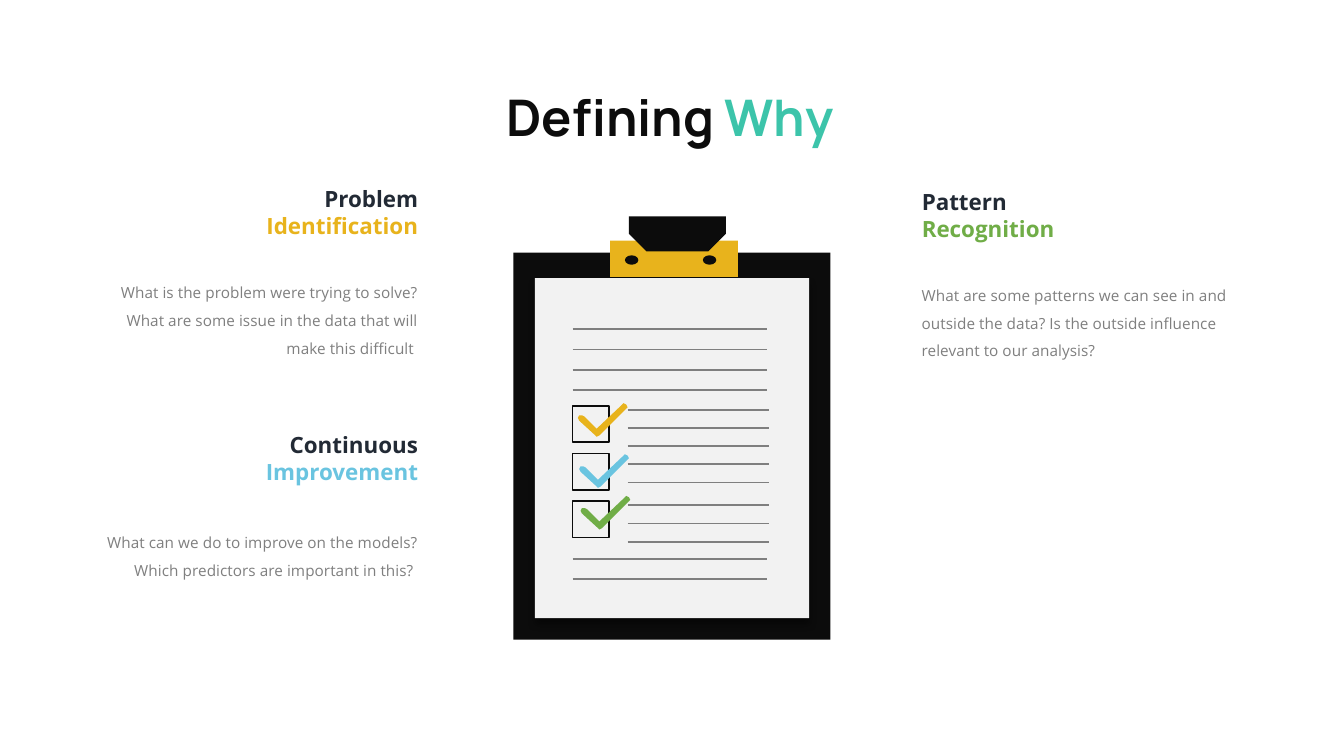
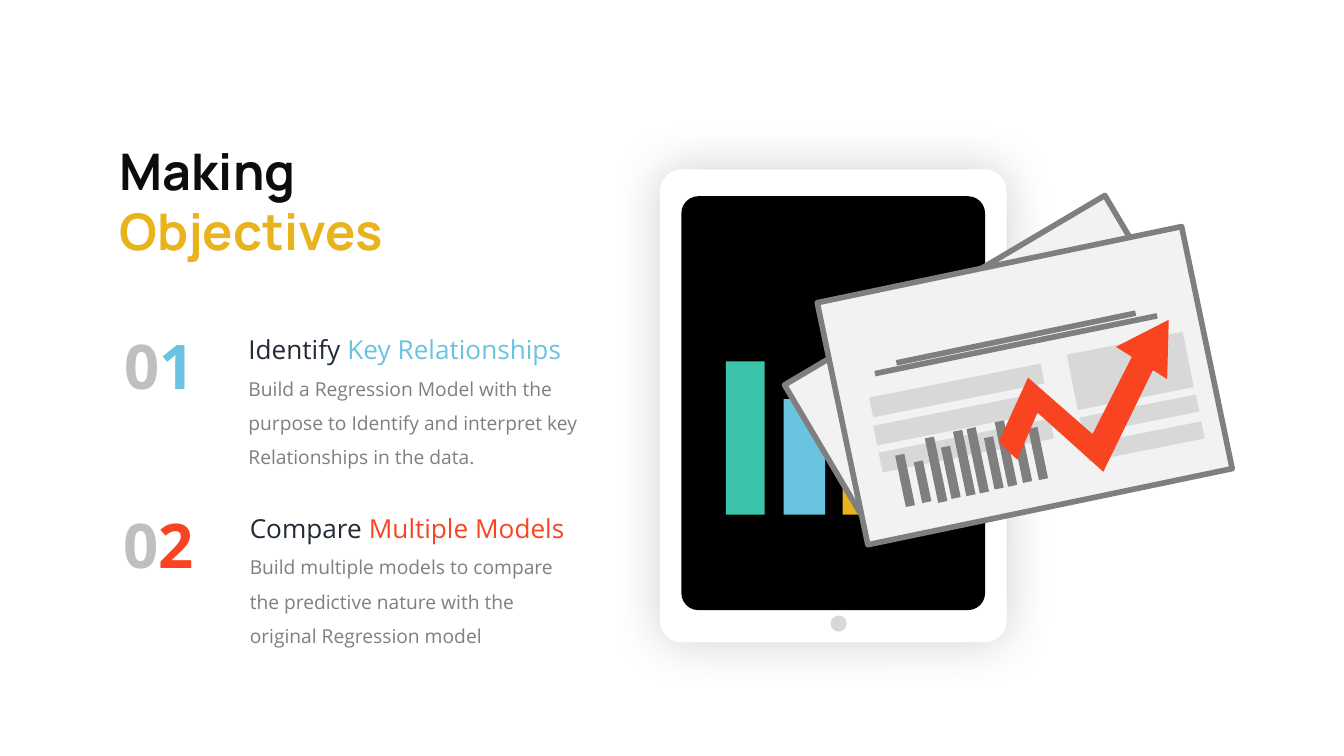
from dataclasses import dataclass

from lxml.etree import SubElement
from pptx import Presentation
from pptx.dml.color import RGBColor
from pptx.enum.shapes import MSO_CONNECTOR, MSO_SHAPE
from pptx.enum.text import MSO_ANCHOR, MSO_AUTO_SIZE, PP_ALIGN
from pptx.oxml.ns import qn
from pptx.util import Inches, Pt


@dataclass(frozen=True)
class Theme:
    black: str = "000000"
    ink: str = "0C0C0C"
    navy: str = "222A35"
    gray: str = "7F7F7F"
    mid: str = "BFBFBF"
    pale: str = "D8D8D8"
    paper: str = "F2F2F2"
    white: str = "FFFFFF"
    gold: str = "E8B31C"
    teal: str = "3CC4AA"
    sky: str = "6AC4E0"
    green: str = "70AD47"
    red: str = "F84420"
    head: str = "Manrope"
    body: str = "Open Sans"
    title: float = 27
    number: float = 33
    topic: float = 14
    label: float = 12
    text: float = 10.25
    small: float = 8.25


T = Theme()
LEFT, RIGHT, MID = PP_ALIGN.LEFT, PP_ALIGN.RIGHT, PP_ALIGN.CENTER
RECT, ROUND, OVAL = MSO_SHAPE.RECTANGLE, MSO_SHAPE.ROUNDED_RECTANGLE, MSO_SHAPE.OVAL


def color(code):
    return RGBColor.from_string(code)


# Text
def write(shape, lines, size, font=T.body, bold=False, align=LEFT,
          space=None, anchor=MSO_ANCHOR.TOP, grow=False):
    """Fill a shape with lines, each a list of (text, colour) pairs."""
    frame = shape.text_frame
    frame.word_wrap = True
    frame.auto_size = MSO_AUTO_SIZE.SHAPE_TO_FIT_TEXT if grow else MSO_AUTO_SIZE.NONE
    frame.vertical_anchor = anchor
    for i, parts in enumerate(lines):
        para = frame.add_paragraph() if i else frame.paragraphs[0]
        para.alignment = align
        if space:
            para.line_spacing = space
        for text, code in parts:
            run = para.add_run()
            run.text = text
            run.font.size = Pt(size)
            run.font.name = font
            run.font.bold = bold
            run.font.color.rgb = color(code)


def add_text(slide, box, parts, size, **style):
    shape = slide.shapes.add_textbox(*map(Inches, box))
    write(shape, [parts], size, **style)


def add_title(slide, box, lines, align=LEFT):
    title = slide.shapes.title
    title.left, title.top, title.width, title.height = map(Inches, box)
    write(title, lines, T.title, font=T.head, bold=True, align=align, grow=True)


# Drawing inside a group, measured from the group's corner
class Pen:
    def __init__(self, slide, left, top):
        self.shapes = slide.shapes.add_group_shape().shapes
        self.left, self.top = left, top

    def at(self, x, y):
        return Inches(self.left + x), Inches(self.top + y)

    def box(self, kind, x, y, w, h, fill=None, line=None, width=1, turn=0, adj=()):
        shape = self.shapes.add_shape(kind, *self.at(x, y), Inches(w), Inches(h))
        for i, value in enumerate(adj):
            shape.adjustments[i] = value
        shape.rotation = turn
        return paint(shape, fill, line, width)

    def rule(self, x1, y1, x2, y2, width=1):
        line = self.shapes.add_connector(
            MSO_CONNECTOR.STRAIGHT, *self.at(x1, y1), *self.at(x2, y2))
        line.line.color.rgb = color(T.gray)
        line.line.width = Pt(width)
        SubElement(line._element.spPr, qn("a:effectLst"))

    def outline(self, x, y, points, fill):
        spots = [self.at(x + dx, y + dy) for dx, dy in points]
        path = self.shapes.build_freeform(*spots[0], scale=1.0)
        path.add_line_segments(spots[1:], close=True)
        paint(path.convert_to_shape(), fill)


def paint(shape, fill, line=None, width=1):
    shape.shadow.inherit = False
    if fill:
        shape.fill.solid()
        shape.fill.fore_color.rgb = color(fill)
    else:
        shape.fill.background()
    if line:
        shape.line.color.rgb = color(line)
        shape.line.width = Pt(width)
    else:
        shape.line.fill.background()
    return shape


def shade(shape, alpha, blur, dist, angle):
    effects = shape._element.spPr.find(qn("a:effectLst"))
    drop = SubElement(effects, qn("a:outerShdw"), blurRad=str(Pt(blur)),
                      dist=str(Pt(dist)), dir=str(angle * 60000), rotWithShape="0")
    tone = SubElement(drop, qn("a:srgbClr"), val=T.black)
    SubElement(tone, qn("a:alpha"), val=str(alpha * 1000))


# Clipboard with a ticked list
TICK = [(.36, .04), (.16, .24), (.14, .25), (.13, .24), (.01, .13), (0, .11),
        (.01, .09), (.03, .09), (.05, .1), (.14, .19), (.33, .01), (.34, 0),
        (.36, .01), (.37, .03)]


def clipboard(slide, left, top):
    pen = Pen(slide, left, top)
    pen.box(RECT, 0, .27, 2.36, 2.88, T.ink)
    sheet = pen.box(ROUND, .16, .46, 2.04, 2.53, T.paper, adj=[0])
    shade(sheet, 40, 4, 3, 90)
    # Written lines: full width, then beside the ticks
    for y in (.84, .99, 1.14, 1.29, 2.55, 2.7):
        pen.rule(.44, y, 1.89, y)
    for start, count in ((1.44, 5), (2.15, 3)):
        for i in range(count):
            y = start + .135 * i
            pen.rule(.85, y, 1.9, y)
    # Tick boxes
    ticks = ((.48, 1.39, T.gold), (.49, 1.77, T.sky), (.5, 2.08, T.green))
    for i, (x, y, fill) in enumerate(ticks):
        pen.box(RECT, .44, 1.41 + .355 * i, .27, .27, line=T.ink)
        pen.outline(x, y, TICK, fill)
    # Clamp
    pen.box(MSO_SHAPE.ROUND_2_SAME_RECTANGLE, .72, .18, .95, .27, T.gold, adj=[0, 0])
    pen.box(MSO_SHAPE.SNIP_2_SAME_RECTANGLE, .86, 0, .72, .26, T.ink,
            turn=180, adj=[.5, 0])
    for x in (.83, 1.41):
        pen.box(OVAL, x, .29, .1, .07, T.ink)


# Tablet with a bar picture
def tablet(slide, left, top):
    pen = Pen(slide, left, top)
    case = pen.box(ROUND, 0, 0, 2.58, 3.52, T.white, adj=[.064])
    shade(case, 18, 27, 0, 0)
    pen.box(ROUND, .16, .2, 2.26, 3.08, T.black, adj=[.056])
    pen.box(OVAL, 1.27, 3.32, .12, .12, T.pale)
    bars = ((.49, .29, 1.14, T.teal), (.92, .31, .86, T.sky),
            (1.36, .31, 1, T.gold), (1.8, .31, .6, T.red))
    for x, w, h, fill in bars:
        pen.box(RECT, x, 2.57 - h, w, h, fill)


# Tilted report sheets with a rising arrow
def report(slide, left, top):
    pen = Pen(slide, left, top)
    pen.box(RECT, 0, .12, 2.77, 1.28, T.paper, T.gray, 3, turn=329.4)
    pen.box(RECT, .27, 0, 2.77, 1.84, T.paper, T.gray, 3, turn=348.2)
    pen.rule(.7, .75, 2.48, .38, 3)
    pen.rule(.54, .83, 2.64, .4, 3)
    blocks = ((2, .6, .88, .42), (.5, .88, 1.3, .15), (.53, 1.09, 1.3, .15),
              (.57, 1.29, 1.3, .15), (2.07, 1.07, .88, .13), (2.11, 1.27, .88, .13))
    for block in blocks:
        pen.box(RECT, *block, T.pale, turn=348.8)
    bars = ((.73, 1.43, .39), (.86, 1.48, .31), (.96, 1.3, .49), (1.07, 1.37, .39),
            (1.17, 1.25, .49), (1.27, 1.23, .49), (1.39, 1.3, .39),
            (1.48, 1.18, .49), (1.61, 1.33, .31), (1.72, 1.23, .39))
    for x, y, h in bars:
        pen.box(RECT, x, y, .07, h, T.gray, turn=348.3)
    shaft = [(0, .67), (.22, .19), (.7, .61), (1.01, 0), (1.16, .11),
             (.78, .89), (.29, .45), (.14, .8)]
    pen.outline(1.46, .67, shaft, T.red)
    pen.box(MSO_SHAPE.ISOSCELES_TRIANGLE, 2.4, .4, .45, .38, T.red, turn=32.2)


# Two-line heading over a note, aligned to one edge of its box
def reason(slide, left, top, gap, first, second, fill, note, align):
    inset = 2.67 - 1.52 if align == RIGHT else 0
    add_text(slide, (left + inset, top, 1.52, .3),
             [(first + " ", T.navy), (second, fill)], T.label,
             bold=True, align=align, anchor=MSO_ANCHOR.BOTTOM)
    add_text(slide, (left, top + gap, 2.67, .91), [(note, T.gray)], T.small,
             align=align, space=1.5)


# Numbered topic with its text
def goal(slide, left, top, indent, digit, first, second, fill, note, widths):
    add_text(slide, (left, top, .92, .66), [("0", T.mid), (digit, fill)],
             T.number, bold=True, grow=True)
    add_text(slide, (left + indent, top + .04, widths[0], .34),
             [(first + " ", T.navy), (second, fill)], T.topic, grow=True)
    add_text(slide, (left + indent, top + .28, widths[1], .7), [(note, T.gray)],
             T.text, space=1.5)


def why_slide(slide):
    add_title(slide, (1.58, .59, 6.81, .56),
              [[("Defining ", T.ink), ("Why", T.teal)]], MID)
    reason(slide, .54, 1.53, .46, "Problem", "Identification", T.gold,
           "What is the problem were trying to solve? What are some issue "
           "in the data that will make this difficult ", RIGHT)
    reason(slide, .54, 3.36, .49, "Continuous", "Improvement", T.sky,
           "What can we do to improve on the models? Which predictors "
           "are important in this? ", RIGHT)
    reason(slide, 6.76, 1.55, .46, "Pattern", "Recognition", T.green,
           "What are some patterns we can see in and outside the data? "
           "Is the outside influence relevant to our analysis?", LEFT)
    clipboard(slide, 3.82, 1.61)


def goal_slide(slide):
    add_title(slide, (.79, .99, 4.1, 1.01),
              [[("Making", T.ink)], [("Objectives", T.gold)]])
    tablet(slide, 4.91, 1.26)
    report(slide, 5.97, 1.95)
    goal(slide, .83, 2.39, .92, "1", "Identify", "Key Relationships", T.sky,
         "Build a Regression Model with the purpose to Identify and "
         "interpret key Relationships in the data.", (2.81, 2.81))
    goal(slide, .82, 3.72, .94, "2", "Compare", "Multiple Models", T.red,
         "Build multiple models to compare the predictive nature with "
         "the original Regression model", (2.58, 2.68))


def main():
    deck = Presentation()
    deck.slide_width, deck.slide_height = Inches(10), Inches(10 * 9 / 16)
    layout = deck.slide_layouts.get_by_name("Title Only")
    for build in (why_slide, goal_slide):
        build(deck.slides.add_slide(layout))
    deck.save("out.pptx")


if __name__ == "__main__":
    main()
